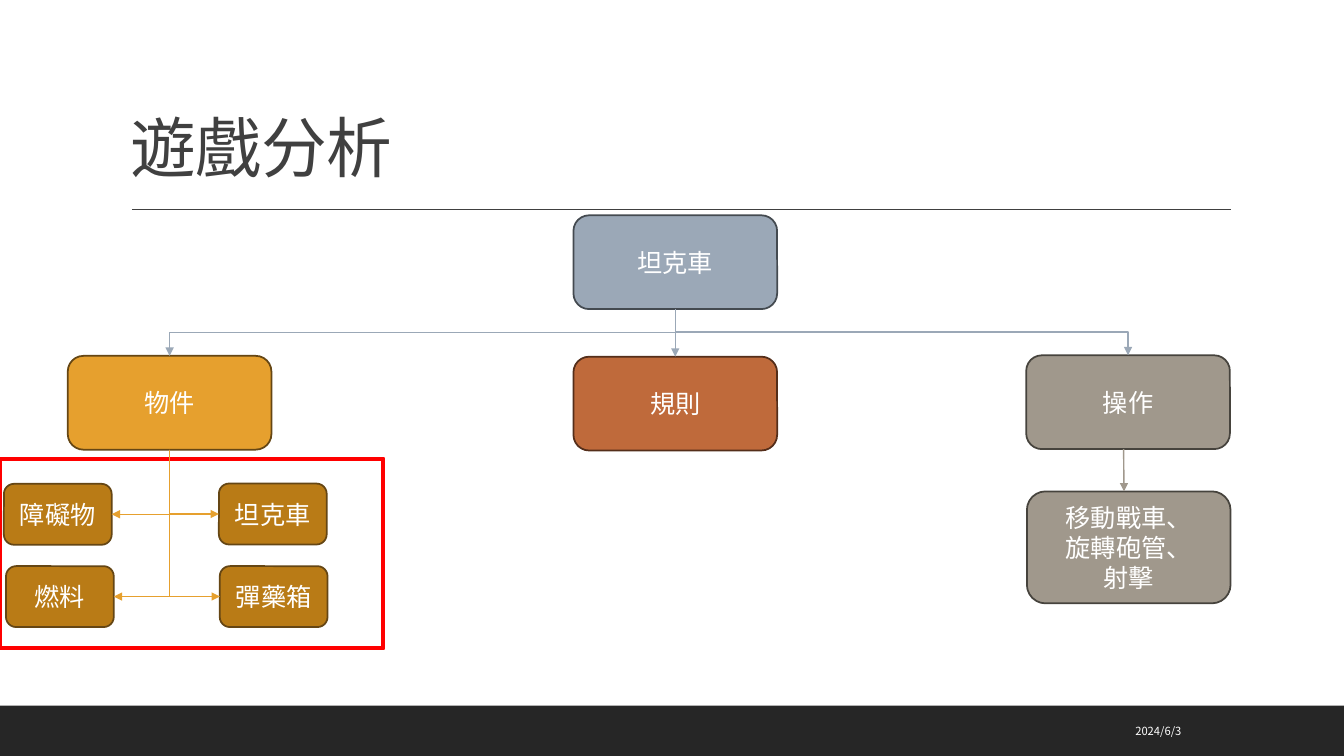
import pptx
import pptx.dml.color
import pptx.enum.shapes
import pptx.enum.text
import pptx.oxml
import pptx.oxml.ns
import pptx.util

Pt = pptx.util.Pt
RGBColor = pptx.dml.color.RGBColor
MSO_SHAPE = pptx.enum.shapes.MSO_SHAPE
MSO_CONNECTOR = pptx.enum.shapes.MSO_CONNECTOR
PP_ALIGN = pptx.enum.text.PP_ALIGN
MSO_ANCHOR = pptx.enum.text.MSO_ANCHOR
qn = pptx.oxml.ns.qn

FONT = "Noto Sans CJK SC"
WHITE = RGBColor(0xFF, 0xFF, 0xFF)
CHARCOAL = RGBColor(0x40, 0x40, 0x40)
FOOTER = RGBColor(0x26, 0x26, 0x26)
BLUE = RGBColor(0x9B, 0xA8, 0xB7)
BLUE_EDGE = RGBColor(0x44, 0x4A, 0x50)
ORANGE = RGBColor(0xE6, 0xA0, 0x2E)
ORANGE_EDGE = RGBColor(0x65, 0x46, 0x14)
BROWN = RGBColor(0xB9, 0x7B, 0x16)
RUST = RGBColor(0xBF, 0x6A, 0x3B)
RUST_EDGE = RGBColor(0x54, 0x2E, 0x1A)
TAUPE = RGBColor(0xA0, 0x98, 0x8C)
TAUPE_EDGE = RGBColor(0x46, 0x43, 0x3D)
RED = RGBColor(0xFF, 0, 0)

BRANCH_SIZE = (145.5, 67)
ITEM_SIZE = (77, 43.5)
BOTTOM, LEFT, TOP, RIGHT = 2, 1, 0, 3


def apply_format(target, values):
    for name, value in values.items():
        setattr(target, name, value)


def write(shape, lines, size, color, align, anchor, spacing=None, tracking=None):
    frame = shape.text_frame
    apply_format(frame, {"word_wrap": True, "vertical_anchor": anchor})
    for index, line in enumerate(lines):
        paragraph = frame.add_paragraph() if index else frame.paragraphs[0]
        apply_format(paragraph, {"alignment": align, "line_spacing": spacing})
        run = paragraph.add_run()
        run.text = line
        apply_format(run.font, {"size": Pt(size), "name": FONT})
        run.font.color.rgb = color
        # East Asian typeface and letter spacing
        properties = run.font._element
        east_asian = pptx.oxml.parse_xml(
            f'<a:ea {pptx.oxml.ns.nsdecls("a")} typeface="{FONT}"/>')
        properties.find(qn("a:latin")).addnext(east_asian)
        if tracking:
            properties.set("spc", str(tracking))


def add_label(slide, box, text, *style):
    label = slide.shapes.add_textbox(*map(Pt, box))
    write(label, [text], *style)


def add_block(slide, kind, box, fill, edge=None, edge_width=1.25):
    block = slide.shapes.add_shape(kind, *map(Pt, box))
    block.shadow.inherit = False
    block.fill.solid()
    block.fill.fore_color.rgb = fill
    if edge is None:
        block.line.fill.background()
    else:
        block.line.color.rgb = edge
        block.line.width = Pt(edge_width)
    return block


def add_node(slide, place, size, lines, fill, edge):
    node = add_block(slide, MSO_SHAPE.ROUNDED_RECTANGLE, (*place, *size), fill, edge)
    write(node, lines, 18, WHITE, PP_ALIGN.CENTER, MSO_ANCHOR.MIDDLE)
    return node


def add_line(slide, kind, ends, color, arrow=True):
    line = slide.shapes.add_connector(kind, *map(Pt, ends))
    line.line.color.rgb = color
    line.line.width = Pt(1)
    properties = line._element.spPr
    if arrow:
        outline = properties.find(qn("a:ln"))
        outline.append(outline.makeelement(qn("a:tailEnd"), {"type": "triangle"}))
    properties.append(properties.makeelement(qn("a:effectLst"), {}))
    return line


def join(line, parent, child, side):
    line.begin_connect(parent, BOTTOM)
    line.end_connect(child, side)


def add_elbow(slide, parent, child, side, color):
    """Leave the parent's bottom and bend towards the child's side."""
    elbow = add_line(slide, MSO_CONNECTOR.ELBOW, (0, 0, 0, 0), color)
    join(elbow, parent, child, side)
    goes_right = elbow.end_x > elbow.begin_x
    across, down = elbow.width, elbow.height
    # The bend runs downwards first, so the frame is turned a quarter
    apply_format(elbow, {
        "left": elbow.left + (across - down) // 2,
        "top": elbow.top + (down - across) // 2,
        "width": down,
        "height": across,
    })
    transform = elbow._element.spPr.find(qn("a:xfrm"))
    for flip in ("flipH", "flipV"):
        transform.attrib.pop(flip, None)
    transform.set("rot", "16200000" if goes_right else "5400000")
    if goes_right:
        transform.set("flipH", "1")
    if side != TOP:
        elbow._element.spPr.find(qn("a:prstGeom")).set("prst", "bentConnector2")


def main():
    deck = pptx.Presentation()
    apply_format(deck, {"slide_width": Pt(960), "slide_height": Pt(540)})
    slide = deck.slides.add_slide(deck.slide_layouts[6])

    # Footer band, title rule, title and date
    add_block(slide, MSO_SHAPE.RECTANGLE, (0, 504, 960, 36), FOOTER)
    add_line(slide, MSO_CONNECTOR.STRAIGHT, (94.3, 149.5, 879, 149.5), CHARCOAL, False)
    add_label(slide, (86.4, 22.5, 792, 114.5), "遊戲分析", 47, CHARCOAL,
              PP_ALIGN.LEFT, MSO_ANCHOR.BOTTOM, 0.9, -50)
    add_label(slide, (647.3, 507.6, 203.8, 28.8), "2024/6/3", 8, WHITE,
              PP_ALIGN.RIGHT, MSO_ANCHOR.MIDDLE)

    # Game and its three branches
    game = add_node(slide, (409.6, 153.8), BRANCH_SIZE, ["坦克車"], BLUE, BLUE_EDGE)
    objects = add_node(slide, (48.4, 254.2), BRANCH_SIZE, ["物件"], ORANGE, ORANGE_EDGE)
    rules = add_node(slide, (409.6, 254.8), BRANCH_SIZE, ["規則"], RUST, RUST_EDGE)
    controls = add_node(slide, (733, 253.8), BRANCH_SIZE, ["操作"], TAUPE, TAUPE_EDGE)
    for branch in (objects, controls):
        add_elbow(slide, game, branch, TOP, BLUE)
    rules_arrow = add_line(slide, MSO_CONNECTOR.STRAIGHT, (0, 0, 0, 0), BLUE)
    join(rules_arrow, game, rules, TOP)

    # Player actions
    add_node(slide, (733.5, 351), (145.5, 80),
             ["移動戰車、", "旋轉砲管、", "射擊"], TAUPE, TAUPE_EDGE)
    add_line(slide, MSO_CONNECTOR.STRAIGHT, (802.6, 320.8, 802.9, 351), TAUPE)

    # Highlight around the game objects
    highlight = add_block(slide, MSO_SHAPE.FRAME, (0, 327.8, 273.6, 135.2), RED, RED, 3)
    highlight.adjustments[0] = 0

    # Game objects, each reached on its inner side
    items = [
        ("障礙物", (2.8, 345.6), RIGHT),
        ("坦克車", (156.4, 345.4), LEFT),
        ("燃料", (4.3, 404.4), RIGHT),
        ("彈藥箱", (157, 404.4), LEFT),
    ]
    for name, place, side in items:
        item = add_node(slide, place, ITEM_SIZE, [name], BROWN, ORANGE_EDGE)
        add_elbow(slide, objects, item, side, ORANGE)

    deck.save("out.pptx")


if __name__ == "__main__":
    main()
